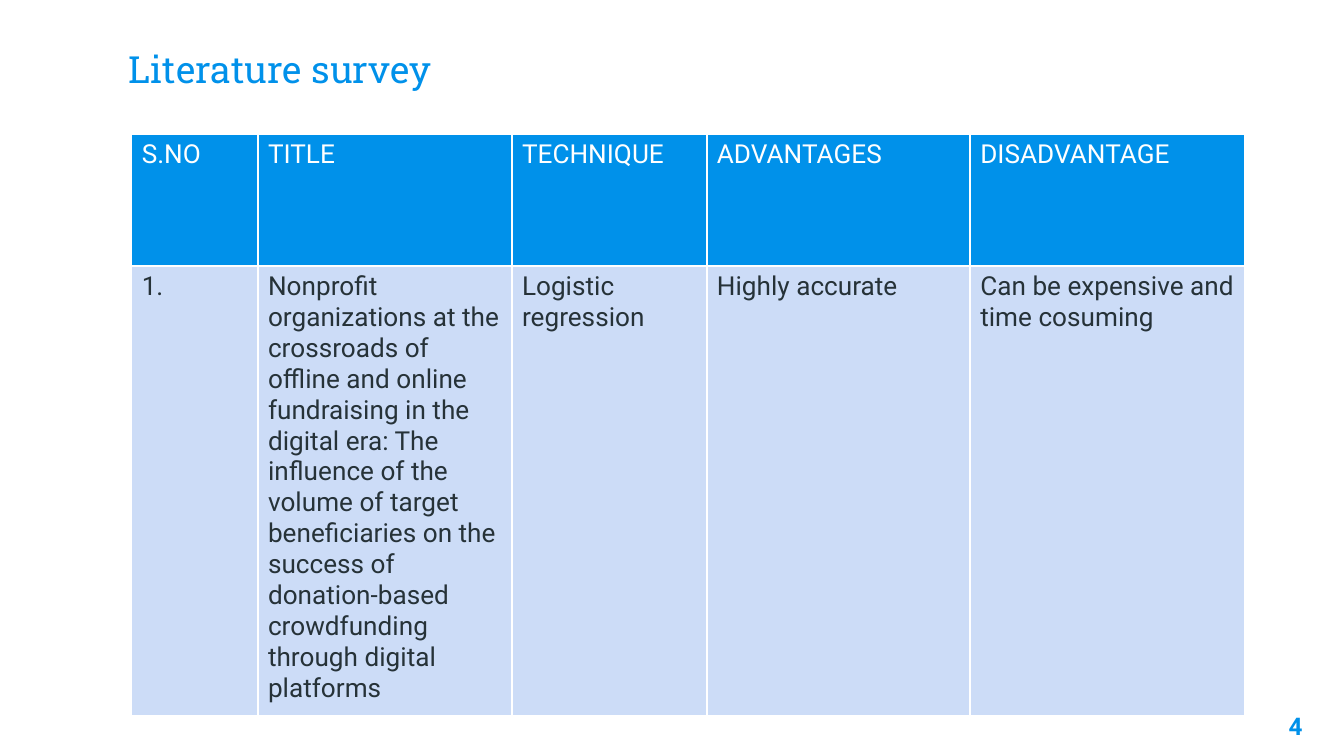
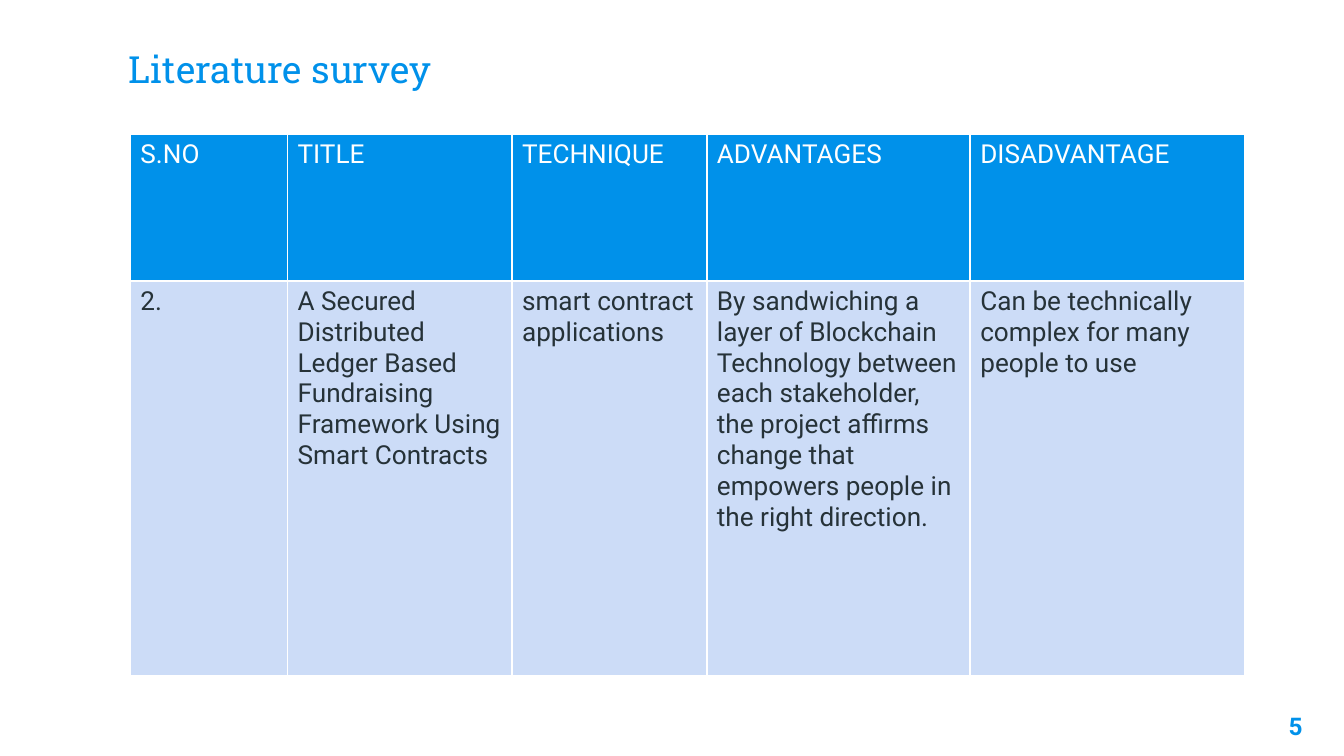
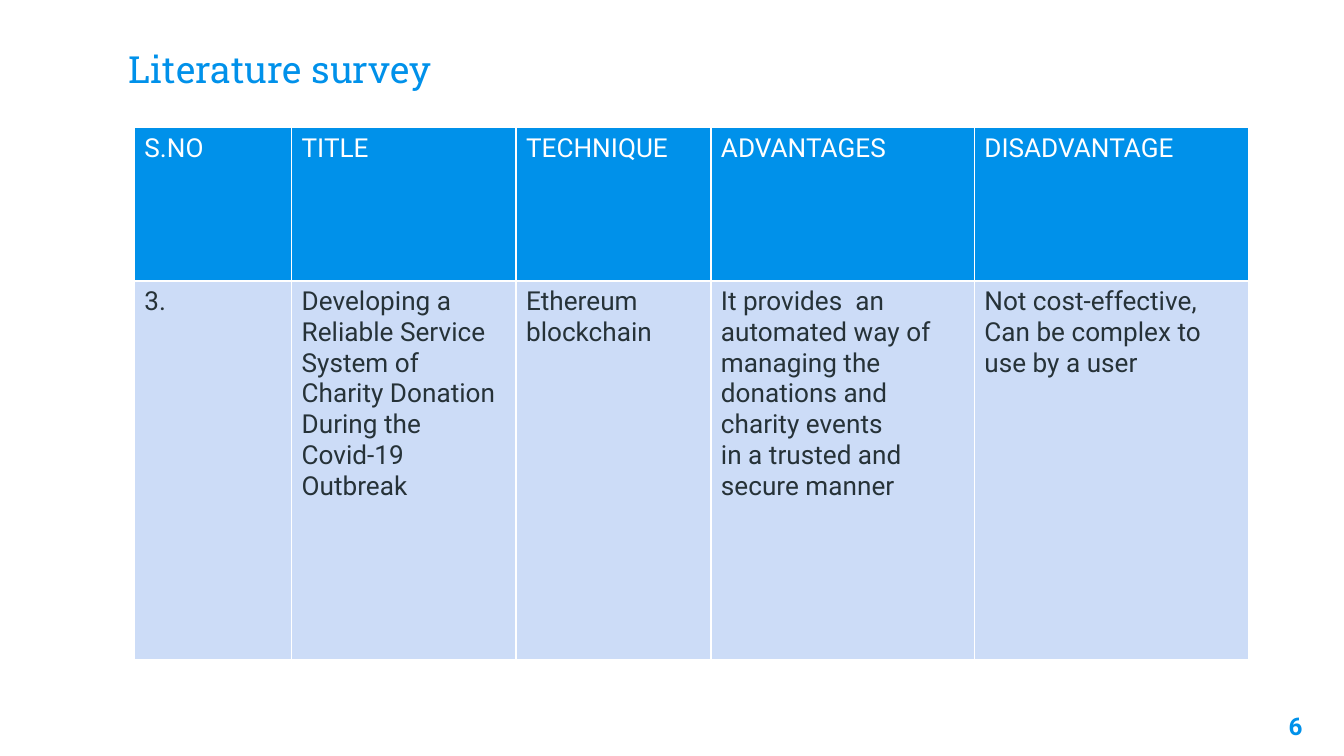
from pptx import Presentation
from pptx import util as u
from pptx.dml import color
from pptx.enum import text as t
from pptx.oxml import parse_xml
from pptx.oxml.ns import nsdecls

# Content
TITLE = "Literature survey"
HEADS = ["S.NO", "TITLE", "TECHNIQUE", "ADVANTAGES", "DISADVANTAGE"]
WIDE = [1.17, 1.67, 1.45, 1.96, 2.04]
PAGES = [
    dict(num=4, at=(0.98, 1), cols=[0.94, 1.89] + WIDE[2:], rows=[0.98, 2.88],
         body=["1.",
               "Nonprofit organizations at the crossroads of offline and online "
               "fundraising in the digital era: The influence of the volume of "
               "target beneficiaries on the success of donation-based "
               "crowdfunding through digital platforms",
               "Logistic regression",
               "Highly accurate",
               "Can be expensive and time cosuming"]),
    dict(num=5, at=(0.97, 1), cols=WIDE, rows=[1.09, 2.94],
         body=["2.",
               "A Secured Distributed Ledger Based Fundraising Framework Using "
               "Smart Contracts",
               "smart contract applications",
               "By sandwiching a layer of Blockchain Technology between each "
               "stakeholder, the project affirms change that empowers people "
               "in the right direction.",
               "Can be technically complex for many people to use"]),
    dict(num=6, at=(1, 0.95), cols=WIDE, rows=[1.14, 2.82],
         body=["3.",
               "Developing a Reliable Service System of Charity Donation During "
               "the Covid-19 Outbreak",
               "Ethereum blockchain",
               "It provides  an automated way of managing the donations and "
               "charity events\nin a trusted and secure manner",
               "Not cost-effective,\nCan be complex to use by a user"]),
]


# Colours, type and the places every slide shares
class Theme:
    blue, pale, ink, white = "0091EA", "CCDCF7", "263238", "FFFFFF"
    title = dict(name="Roboto Slab", size=u.Pt(20), color=blue)
    page = dict(name="Roboto", size=u.Pt(13), color=blue, bold=True)
    head = dict(name="Roboto", size=u.Pt(14), color=white)
    body = dict(head, color=ink)
    # text format and fill for each row
    rows = [(head, blue), (body, pale)]
    title_at = (0.86, 0.27, 8.28, 0.51)
    page_at = (9.19, 5.19, 0.6, 0.43)
    pad = u.Inches(0.1)
    cell_x, cell_y = u.Pt(5.4), u.Pt(2.7)
    rule = u.Pt(1)


def put(obj, vals):
    for key, val in vals.items():
        setattr(obj, key, val)


def pads(x, y):
    return dict(margin_left=x, margin_right=x, margin_top=y, margin_bottom=y)


def write(frame, words, form, align=t.PP_ALIGN.LEFT):
    frame.text = words
    for para in frame.paragraphs:
        para.alignment = align
        for run in para.runs:
            put(run.font, {k: v for k, v in form.items() if k != "color"})
            run.font.color.rgb = color.RGBColor.from_string(form["color"])


def label(slide, at, words, form, anchor, align=t.PP_ALIGN.LEFT):
    frame = slide.shapes.add_textbox(*map(u.Inches, at)).text_frame
    put(frame, dict(pads(Theme.pad, Theme.pad), word_wrap=True,
                    vertical_anchor=anchor))
    write(frame, words, form, align)


def edge(cell):
    props = cell._tc.get_or_add_tcPr()
    for side in "LRTB":
        props.append(parse_xml(
            f'<a:ln{side} {nsdecls("a")} w="{Theme.rule}"><a:solidFill>'
            f'<a:srgbClr val="{Theme.white}"/></a:solidFill></a:ln{side}>'))


def grid(slide, page):
    size = sum(page["cols"]), sum(page["rows"])
    table = slide.shapes.add_table(
        2, len(HEADS), *map(u.Inches, page["at"] + size)).table
    for col, width in zip(table.columns, page["cols"]):
        col.width = u.Inches(width)
    lines = zip(table.rows, page["rows"], (HEADS, page["body"]), Theme.rows)
    for row, height, texts, (form, fill) in lines:
        row.height = u.Inches(height)
        for cell, words in zip(row.cells, texts):
            write(cell.text_frame, words, form)
            put(cell, pads(Theme.cell_x, Theme.cell_y))
            edge(cell)
            cell.fill.solid()
            cell.fill.fore_color.rgb = color.RGBColor.from_string(fill)


def main():
    deck = Presentation()
    wide = u.Inches(10)
    put(deck, dict(slide_width=wide, slide_height=wide * 9 // 16))
    for page in PAGES:
        slide = deck.slides.add_slide(deck.slide_layouts[6])
        label(slide, Theme.title_at, TITLE, Theme.title, t.MSO_ANCHOR.BOTTOM)
        grid(slide, page)
        label(slide, Theme.page_at, str(page["num"]), Theme.page,
              t.MSO_ANCHOR.TOP, t.PP_ALIGN.RIGHT)
    deck.save("out.pptx")


if __name__ == "__main__":
    main()
